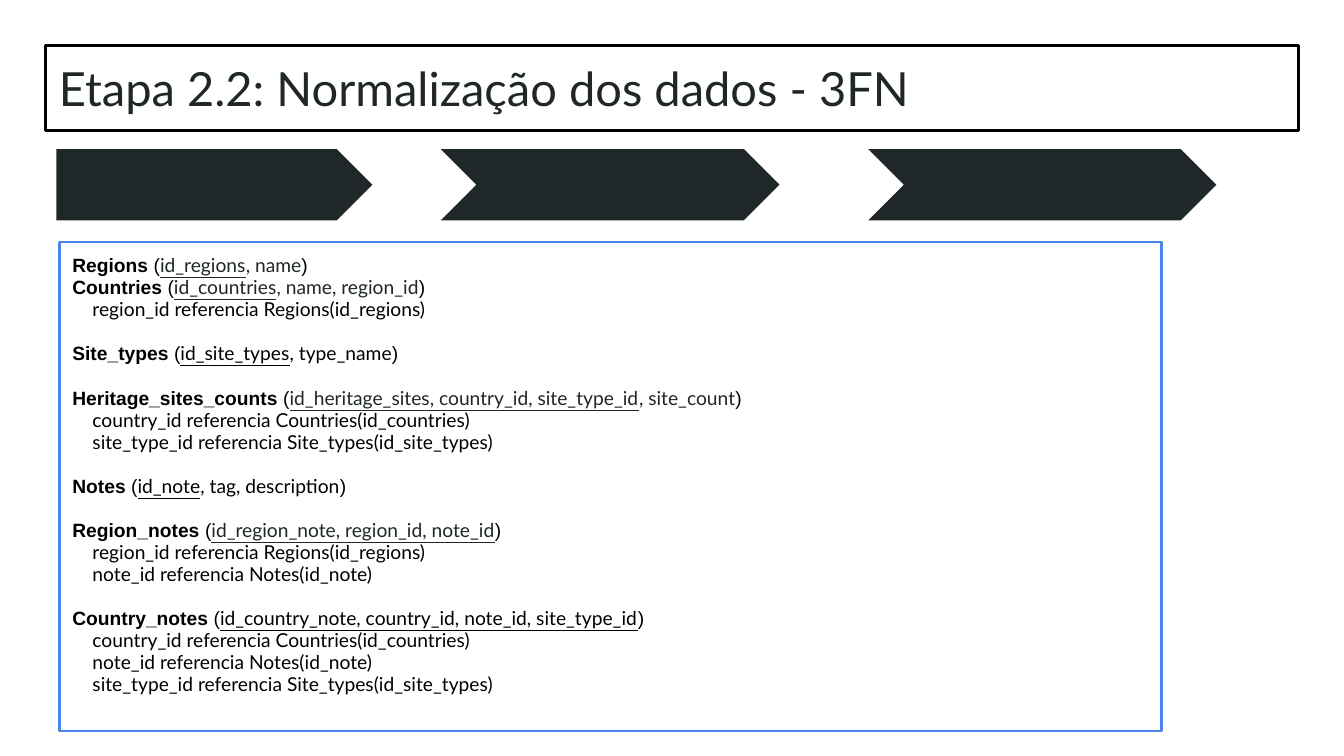
from dataclasses import dataclass

from pptx import Presentation
from pptx.dml.color import RGBColor
from pptx.enum.shapes import MSO_SHAPE
from pptx.enum.text import MSO_ANCHOR, PP_ALIGN
from pptx.shapes.autoshape import Shape
from pptx.slide import Slide
from pptx.text.text import TextFrame, _Paragraph
from pptx.util import Inches, Pt

RECTANGLE = MSO_SHAPE.RECTANGLE
PENTAGON = MSO_SHAPE.PENTAGON
CHEVRON = MSO_SHAPE.CHEVRON
TOP = MSO_ANCHOR.TOP
MIDDLE = MSO_ANCHOR.MIDDLE
LEFT = PP_ALIGN.LEFT

BLACK = RGBColor(0x00, 0x00, 0x00)
CHARCOAL = RGBColor(0x20, 0x27, 0x29)
BLUE = RGBColor(0x4A, 0x86, 0xE8)

SLIDE_WIDTH = Inches(10)
SLIDE_HEIGHT = SLIDE_WIDTH * 9 // 16
GRID_COLUMNS = 100
GRID_ROWS = 100
INSET = Inches(0.1)
REFERENCE_INDENT = Inches(0.15)
BORDER_WIDTH = Pt(1.5)
BODY_SIZE = 10.3
TITLE_SIZE = 25.2


@dataclass(frozen=True)
class Area:
    column: float
    row: float
    columns: float
    rows: float


@dataclass(frozen=True)
class Relation:
    name: str
    keys: str
    fields: str = ""
    references: tuple[str, ...] = ()
    color: RGBColor = BLACK
    space_before: float = 12


TITLE_AREA = Area(3.4, 6.04, 93.2, 11.2)
BODY_AREA = Area(4.4, 32, 82, 64.71)
ARROW_ROW = 19.73
ARROW_ROWS = 9.42

ARROWS = (
    (PENTAGON, Area(4.2, ARROW_ROW, 23.5, ARROW_ROWS)),
    (CHEVRON, Area(32.8, ARROW_ROW, 25.2, ARROW_ROWS)),
    (CHEVRON, Area(64.6, ARROW_ROW, 25.9, ARROW_ROWS)),
)

TO_REGIONS = "region_id referencia Regions(id_regions)"
TO_COUNTRIES = "country_id referencia Countries(id_countries)"
TO_SITE_TYPES = "site_type_id referencia Site_types(id_site_types)"
TO_NOTES = "note_id referencia Notes(id_note)"

RELATIONS = (
    Relation("Regions", "id_regions", ", name", color=CHARCOAL, space_before=0),
    Relation("Countries", "id_countries", ", name, region_id", (TO_REGIONS,),
             CHARCOAL, space_before=0),
    Relation("Site_types", "id_site_types", ", type_name"),
    Relation("Heritage_sites_counts", "id_heritage_sites, country_id, site_type_id",
             ", site_count", (TO_COUNTRIES, TO_SITE_TYPES), CHARCOAL),
    Relation("Notes", "id_note", ", tag, description"),
    Relation("Region_notes", "id_region_note, region_id, note_id",
             references=(TO_REGIONS, TO_NOTES), color=CHARCOAL),
    Relation("Country_notes", "id_country_note, country_id, note_id, site_type_id",
             references=(TO_COUNTRIES, TO_NOTES, TO_SITE_TYPES)),
)


def add_shape(slide: Slide, kind: MSO_SHAPE, area: Area,
              fill: RGBColor | None = None, line: RGBColor | None = None) -> Shape:
    shape = slide.shapes.add_shape(
        kind,
        round(SLIDE_WIDTH * area.column / GRID_COLUMNS),
        round(SLIDE_HEIGHT * area.row / GRID_ROWS),
        round(SLIDE_WIDTH * area.columns / GRID_COLUMNS),
        round(SLIDE_HEIGHT * area.rows / GRID_ROWS),
    )
    shape.shadow.inherit = False
    if fill is None:
        shape.fill.background()
    else:
        shape.fill.solid()
        shape.fill.fore_color.rgb = fill
    if line is None:
        shape.line.fill.background()
    else:
        shape.line.color.rgb = line
        shape.line.width = BORDER_WIDTH
    return shape


def add_framed_text(slide: Slide, area: Area, line: RGBColor,
                    anchor: MSO_ANCHOR) -> TextFrame:
    frame = add_shape(slide, RECTANGLE, area, line=line).text_frame
    frame.word_wrap = True
    frame.vertical_anchor = anchor
    frame.margin_left = frame.margin_right = INSET
    frame.margin_top = frame.margin_bottom = INSET
    frame.paragraphs[0].alignment = LEFT
    return frame


def add_text(paragraph: _Paragraph, text: str, *, font: str = "Lato",
             size: float = BODY_SIZE, color: RGBColor = BLACK,
             bold: bool = False, underline: bool = False) -> None:
    run = paragraph.add_run()
    run.text = text
    run.font.name = font
    run.font.size = Pt(size)
    run.font.color.rgb = color
    run.font.bold = bold
    run.font.underline = underline


def add_line(frame: TextFrame, space_before: float = 0, indent: int = 0) -> _Paragraph:
    first = frame.paragraphs[0]
    paragraph = frame.add_paragraph() if first.runs else first
    paragraph.alignment = LEFT
    paragraph.line_spacing = 0.95
    paragraph.space_before = Pt(space_before)
    paragraph._p.get_or_add_pPr().set("marL", str(indent))
    return paragraph


def add_relation(frame: TextFrame, relation: Relation) -> None:
    paragraph = add_line(frame, relation.space_before)
    add_text(paragraph, relation.name, font="Arial", bold=True)
    add_text(paragraph, " (", font="Arial")
    add_text(paragraph, relation.keys, color=relation.color, underline=True)
    if relation.fields:
        add_text(paragraph, relation.fields, color=relation.color)
    add_text(paragraph, ")", font="Arial")
    for reference in relation.references:
        add_text(add_line(frame, indent=REFERENCE_INDENT), reference)


def main() -> None:
    presentation = Presentation()
    presentation.slide_width = SLIDE_WIDTH
    presentation.slide_height = SLIDE_HEIGHT
    slide = presentation.slides.add_slide(presentation.slide_layouts[6])

    title = add_framed_text(slide, TITLE_AREA, BLACK, MIDDLE)
    add_text(title.paragraphs[0], "Etapa 2.2: Normalização dos dados - 3FN",
             size=TITLE_SIZE, color=CHARCOAL)

    for kind, area in ARROWS:
        add_shape(slide, kind, area, fill=CHARCOAL)

    body = add_framed_text(slide, BODY_AREA, BLUE, TOP)
    for relation in RELATIONS:
        add_relation(body, relation)

    presentation.save("out.pptx")


if __name__ == "__main__":
    main()
